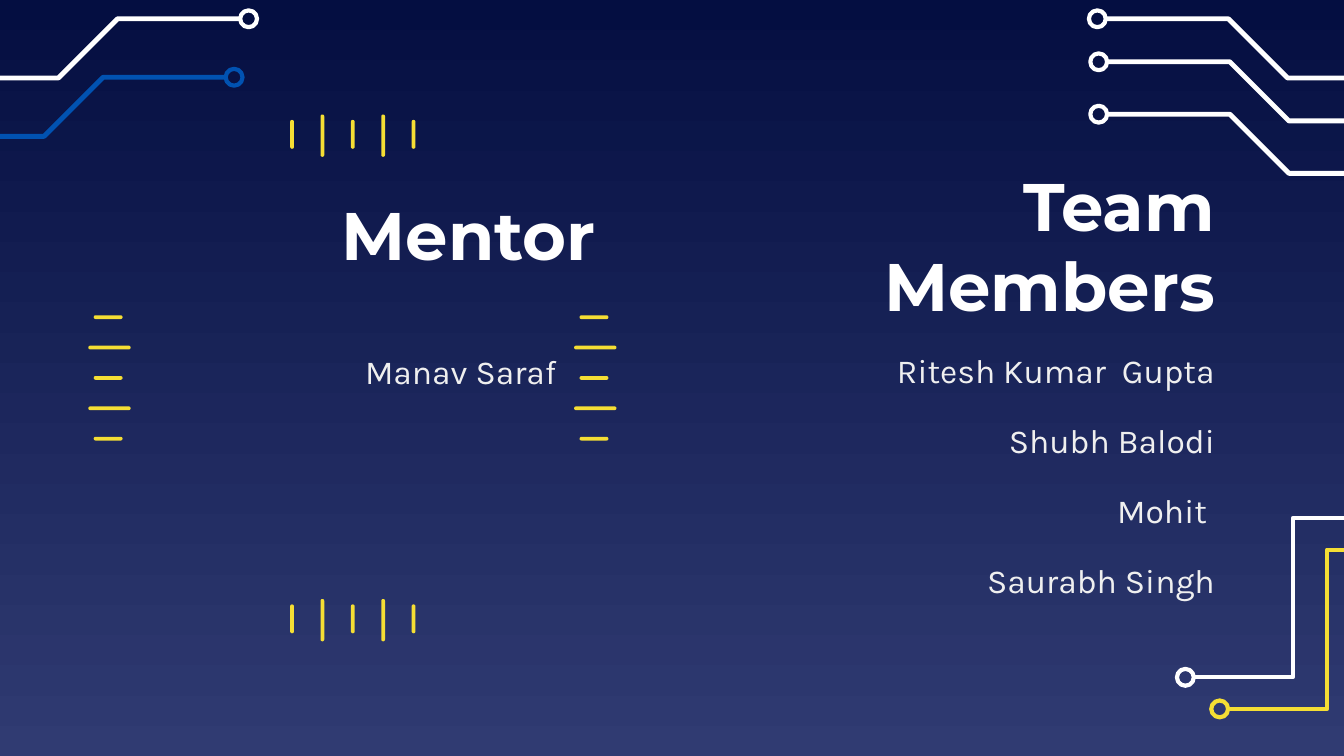
from pptx import Presentation
from pptx import util as u
from pptx.dml.color import RGBColor
from pptx.enum import shapes, text
from pptx.oxml.xmlchemy import OxmlElement

NIGHT = RGBColor(0x04, 0x0E, 0x41)
INDIGO = RGBColor(0x30, 0x3B, 0x72)
WHITE = RGBColor(0xFF, 0xFF, 0xFF)
PALE = RGBColor(0xEF, 0xEF, 0xEF)
YELLOW = RGBColor(0xF5, 0xDE, 0x34)
BLUE = RGBColor(0x01, 0x52, 0xB1)

COLUMNS, ROWS = 100, 56.25
RING = 1.25
TICK_STEP = 2.26
TICK_LENGTHS = (2.15, 3.15, 2.15, 3.15, 2.15)
TICK_WIDTH = 0.28

HEADING = {"name": "Montserrat", "size": u.Pt(36), "bold": True}
NAMES = {"name": "Karla", "size": u.Pt(18), "bold": False}
MEMBERS = ("Ritesh Kumar  Gupta", "Shubh Balodi", "Mohit ", "Saurabh Singh")

DIAGONAL = ((0.5, 0), (9.75, 0), (14.15, 4.4), (21.4, 4.4))
ELBOW = ((0.5, 0), (8, 0), (8, -11.85), (14.8, -11.85))


def grid(cells):
    return u.Inches(cells / 10)


def apply(target, values):
    for name, value in values.items():
        setattr(target, name, value)


def paint_background(page):
    fill = page.background.fill
    fill.gradient()
    fill.gradient_angle = 270
    for stop, color, position in zip(fill.gradient_stops, (NIGHT, INDIGO), (0, 1)):
        stop.color.rgb = color
        stop.position = position


def outline(shape, color, points):
    shape.shadow.inherit = False
    shape.fill.background()
    shape.line.color.rgb = color
    shape.line.width = u.Pt(points)


def add_trace(page, x, y, route, color, points, direction=1):
    corners = [(grid(x + direction * dx), grid(y + dy)) for dx, dy in route]
    builder = page.shapes.build_freeform(*corners[0])
    builder.add_line_segments(corners[1:], close=False)
    outline(builder.convert_to_shape(), color, points)
    ring = page.shapes.add_shape(
        shapes.MSO_SHAPE.OVAL, grid(x - RING / 2), grid(y - RING / 2), grid(RING), grid(RING)
    )
    outline(ring, color, 2.25)


def add_ticks(page, x, y, upright):
    for index, length in enumerate(TICK_LENGTHS):
        shift = (index - 2) * TICK_STEP
        nudge = 0.1 * (index % 2)
        if upright:
            center_x, center_y, width, height = x + shift, y + nudge, TICK_WIDTH, length
        else:
            center_x, center_y, width, height = x + nudge, y + shift, length, TICK_WIDTH
        tick = page.shapes.add_shape(
            shapes.MSO_SHAPE.ROUNDED_RECTANGLE,
            grid(center_x - width / 2), grid(center_y - height / 2), grid(width), grid(height),
        )
        tick.adjustments[0] = 0.5
        tick.shadow.inherit = False
        tick.fill.solid()
        tick.fill.fore_color.rgb = YELLOW
        tick.line.fill.background()


def write(box, place, lines, font, color, anchor, after=0):
    apply(box, dict(zip(("left", "top", "width", "height"), map(grid, place))))
    frame = box.text_frame
    frame.text = "\n".join(lines)
    margins = dict.fromkeys(("margin_left", "margin_top", "margin_right", "margin_bottom"), grid(1))
    apply(frame, {
        "word_wrap": True, "auto_size": text.MSO_AUTO_SIZE.NONE,
        "vertical_anchor": anchor, **margins,
    })
    for para in frame.paragraphs:
        apply(para, {
            "alignment": text.PP_ALIGN.RIGHT, "line_spacing": 1.0,
            "space_before": u.Pt(0), "space_after": u.Pt(after),
        })
        properties = para._p.get_or_add_pPr()
        properties.set("marL", "0")
        properties.set("indent", "0")
        properties.append(OxmlElement("a:buNone"))
        for span in para.runs:
            apply(span.font, font)
            span.font.color.rgb = color


def main():
    deck = Presentation()
    deck.slide_width, deck.slide_height = grid(COLUMNS), grid(ROWS)
    page = deck.slides.add_slide(deck.slide_layouts[1])
    paint_background(page)

    for x, y, color in ((88.2, 50.4, WHITE), (90.75, 52.75, YELLOW)):
        add_trace(page, x, y, ELBOW, color, 2.25)
    for x, y, color, direction in (
        (18.5, 1.4, WHITE, -1),
        (81.65, 1.4, WHITE, 1),
        (81.75, 4.6, WHITE, 1),
        (81.75, 8.5, WHITE, 1),
        (17.42, 5.75, BLUE, -1),
    ):
        add_trace(page, x, y, DIAGONAL, color, 2.6, direction)

    for x, y, upright in (
        (8.05, 28.12, False), (44.2, 28.12, False), (26.25, 10, True), (26.25, 46.05, True)
    ):
        add_ticks(page, x, y, upright)

    middle, top = text.MSO_ANCHOR.MIDDLE, text.MSO_ANCHOR.TOP
    title, body = page.shapes.title, page.placeholders[1]
    write(title, (51.3, 14.25, 40.1, 7.9), ["Team Members"], HEADING, WHITE, middle)
    write(body, (51.3, 25, 40.1, 21.2), MEMBERS, NAMES, PALE, top, 16)
    mentor_title = page.shapes.add_textbox(0, 0, 0, 0)
    write(mentor_title, (5.2, 13.45, 40.1, 7.9), ["Mentor"], HEADING, WHITE, middle)
    mentor_name = page.shapes.add_textbox(0, 0, 0, 0)
    write(mentor_name, (2.3, 25.1, 40.1, 13.5), ["Manav Saraf"], NAMES, PALE, top, 16)

    deck.save("out.pptx")


if __name__ == "__main__":
    main()
